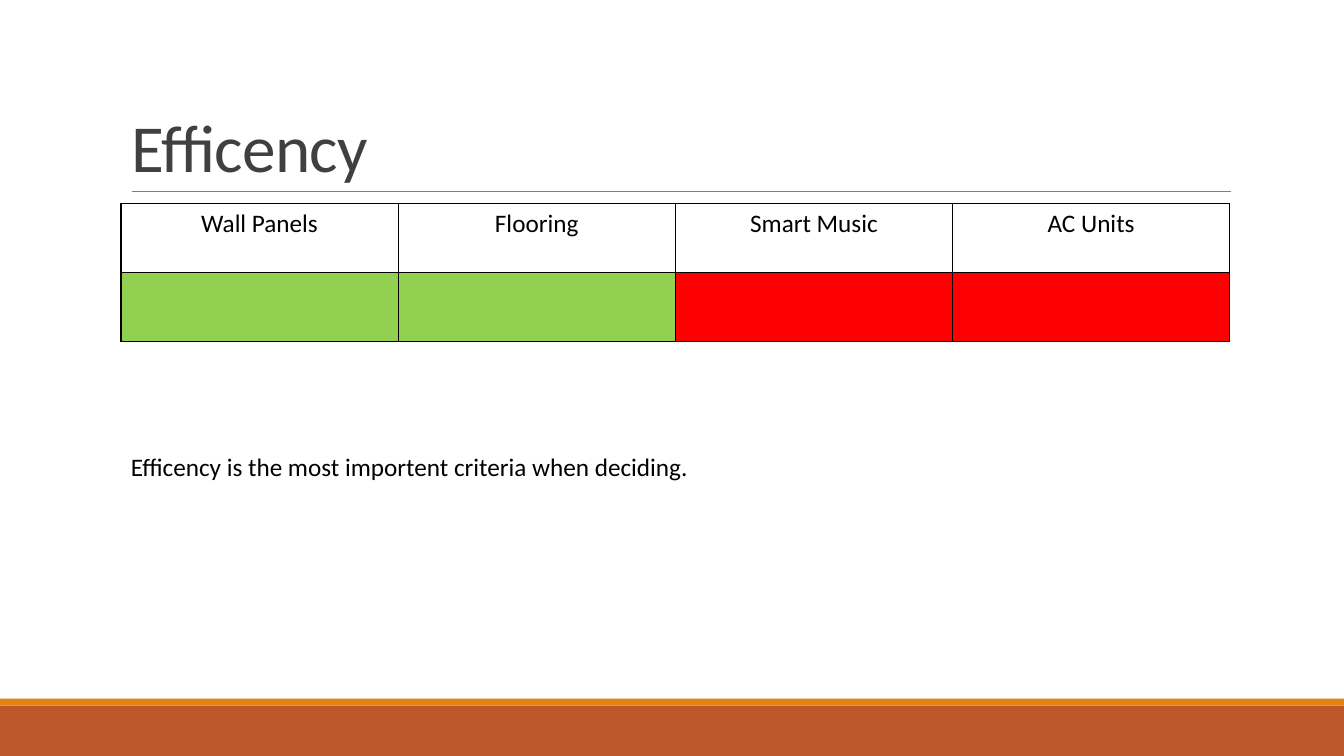
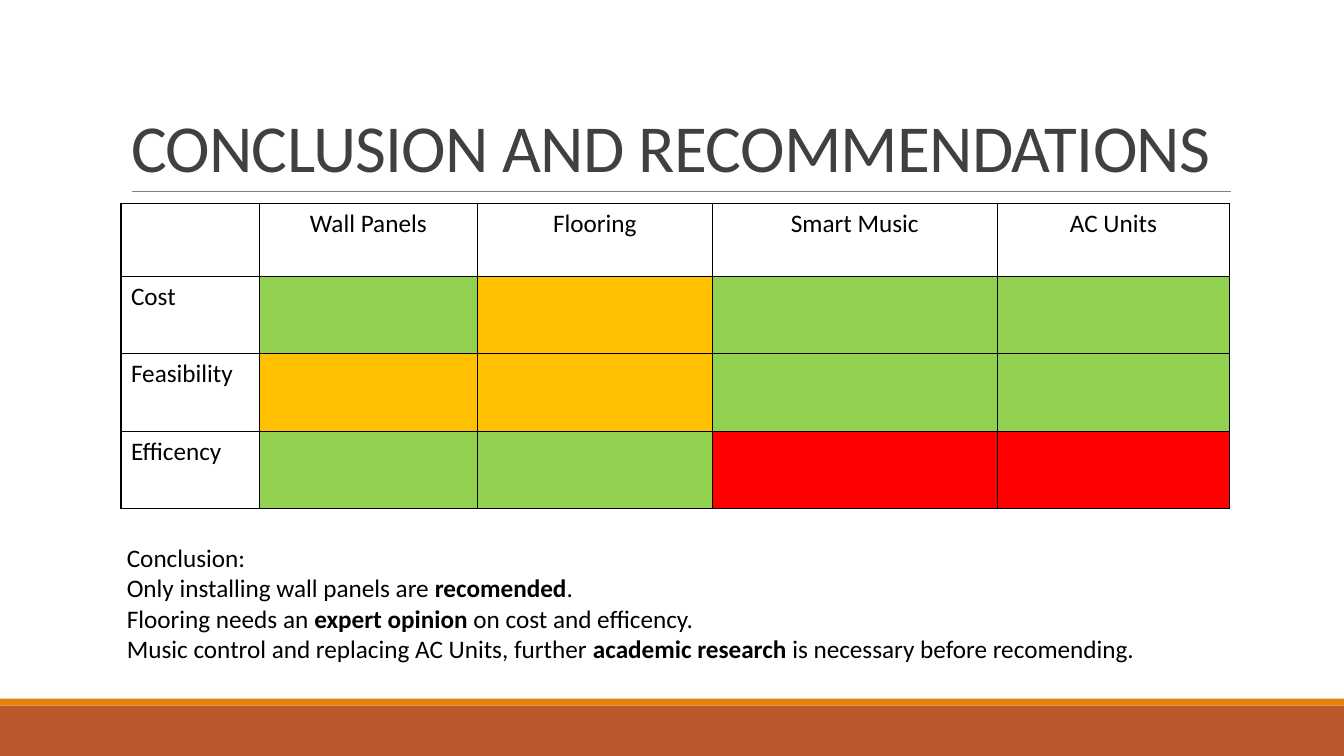
import pptx
import pptx.dml.color
import pptx.enum.shapes
import pptx.enum.text
import pptx.oxml
import pptx.oxml.ns
import pptx.util

Pt = pptx.util.Pt
RGBColor = pptx.dml.color.RGBColor
PP_ALIGN = pptx.enum.text.PP_ALIGN

# Colours
BLACK = RGBColor(0x00, 0x00, 0x00)
INK = RGBColor(0x40, 0x40, 0x40)
GREY = RGBColor(0x80, 0x80, 0x80)
RUST = RGBColor(0xBD, 0x58, 0x2C)
ORANGE = RGBColor(0xE4, 0x83, 0x12)
GREEN = RGBColor(0x92, 0xD0, 0x50)
AMBER = RGBColor(0xFF, 0xC0, 0x00)
RED = RGBColor(0xFF, 0x00, 0x00)

# Shared layout, in points
WIDTH, HEIGHT = 960, 540
LEFT, CONTENT_W = 86.4, 792
TITLE_TOP, RULE_Y, TABLE_TOP = 22.4, 136.8, 145.4
FONT = "Calibri"
OPTIONS = ["Wall Panels", "Flooring", "Smart Music", "AC Units"]
EFFICIENCY = [GREEN, GREEN, RED, RED]


def write(tf, text, size=18, color=BLACK, align=PP_ALIGN.LEFT,
          line_spacing=None, tracking=None):
    """Fill a text frame: one paragraph per line, **...** marks bold."""
    for i, line in enumerate(text.split("\n")):
        p = tf.add_paragraph() if i else tf.paragraphs[0]
        p.alignment = align
        p.line_spacing = line_spacing
        for j, part in enumerate(line.split("**")):
            r = p.add_run()
            r.text = part
            r.font.name = FONT
            r.font.size = Pt(size)
            r.font.bold = j % 2 == 1
            r.font.color.rgb = color
            if tracking is not None:
                r.font._element.set("spc", str(int(tracking * 100)))


class Deck:
    def __init__(self):
        self.prs = pptx.Presentation()
        self.prs.slide_width = Pt(WIDTH)
        self.prs.slide_height = Pt(HEIGHT)
        self.s = None

    def slide(self, title):
        """Start a slide with the footer bands, title and title rule."""
        self.s = self.prs.slides.add_slide(self.prs.slide_layouts[5])
        self.band(504, 36, RUST)
        self.band(499, 5, ORANGE)
        self.rule(LEFT + 8, LEFT + CONTENT_W + 0.7, RULE_Y)
        sp = self.s.shapes.title
        sp.left, sp.top = Pt(LEFT), Pt(TITLE_TOP)
        sp.width, sp.height = Pt(CONTENT_W), Pt(RULE_Y - TITLE_TOP)
        tf = sp.text_frame
        tf.word_wrap = True
        tf.auto_size = pptx.enum.text.MSO_AUTO_SIZE.NONE
        tf.vertical_anchor = pptx.enum.text.MSO_ANCHOR.BOTTOM
        write(tf, title, size=48, color=INK, line_spacing=0.85, tracking=-0.5)

    def band(self, top, height, color):
        sp = self.s.shapes.add_shape(
            pptx.enum.shapes.MSO_SHAPE.RECTANGLE,
            Pt(0), Pt(top), Pt(WIDTH), Pt(height))
        sp.shadow.inherit = False
        sp.fill.solid()
        sp.fill.fore_color.rgb = color
        sp.line.fill.background()

    def rule(self, x1, x2, y):
        line = self.s.shapes.add_connector(
            pptx.enum.shapes.MSO_CONNECTOR.STRAIGHT,
            Pt(x1), Pt(y), Pt(x2), Pt(y))
        line.line.color.rgb = GREY
        line.line.width = Pt(0.5)
        pptx.oxml.ns.qn("a:effectLst")
        line._element.spPr.append(pptx.oxml.parse_xml(
            "<a:effectLst %s/>" % pptx.oxml.ns.nsdecls("a")))

    def text(self, text, left, top, width, height):
        tf = self.s.shapes.add_textbox(
            Pt(left), Pt(top), Pt(width), Pt(height)).text_frame
        tf.word_wrap = True
        write(tf, text)

    def table(self, rows, widths, heights):
        """Draw a grid; a cell holds either a label or a rating colour."""
        table = self.s.shapes.add_table(
            len(rows), len(widths), Pt(LEFT), Pt(TABLE_TOP),
            Pt(sum(widths)), Pt(sum(heights))).table
        table.first_row = table.horz_banding = False
        for column, width in zip(table.columns, widths):
            column.width = Pt(width)
        for i, (values, height) in enumerate(zip(rows, heights)):
            table.rows[i].height = Pt(height)
            for j, value in enumerate(values):
                cell = table.cell(i, j)
                self.borders(cell)
                if isinstance(value, RGBColor):
                    cell.fill.solid()
                    cell.fill.fore_color.rgb = value
                    continue
                cell.fill.background()
                if value:
                    write(cell.text_frame, value,
                          align=PP_ALIGN.LEFT if i else PP_ALIGN.CENTER)

    def borders(self, cell):
        tc_pr = cell._tc.get_or_add_tcPr()
        for side in ("lnL", "lnR", "lnT", "lnB"):
            tc_pr.append(pptx.oxml.parse_xml(
                '<a:%s %s w="%d"><a:solidFill><a:srgbClr val="%s"/>'
                "</a:solidFill></a:%s>"
                % (side, pptx.oxml.ns.nsdecls("a"), Pt(1), BLACK, side)))


def main():
    deck = Deck()

    # Efficiency ratings
    deck.slide("Efficency")
    deck.table([OPTIONS, EFFICIENCY], [CONTENT_W / 4] * 4, [49.2] * 2)
    deck.text("Efficency is the most importent criteria when deciding.",
              LEFT, 319, CONTENT_W, 29)

    # Conclusion with all criteria
    deck.slide("CONCLUSION AND RECOMMENDATIONS")
    deck.table(
        [[""] + OPTIONS,
         ["Cost", GREEN, AMBER, GREEN, GREEN],
         ["Feasibility", AMBER, AMBER, GREEN, GREEN],
         ["Efficency"] + EFFICIENCY],
        [99, 155.5, 168, 203.5, 166], [52.2] + [55.2] * 3)
    deck.text(
        "Conclusion:\n"
        "Only installing wall panels are **recomended**.\n"
        "Flooring needs an **expert opinion **on cost and efficency.\n"
        "Music control and replacing AC Units, further "
        "**academic research **is necessary before recomending.",
        83.5, 384, 804, 94.5)

    deck.prs.save("out.pptx")


if __name__ == "__main__":
    main()
